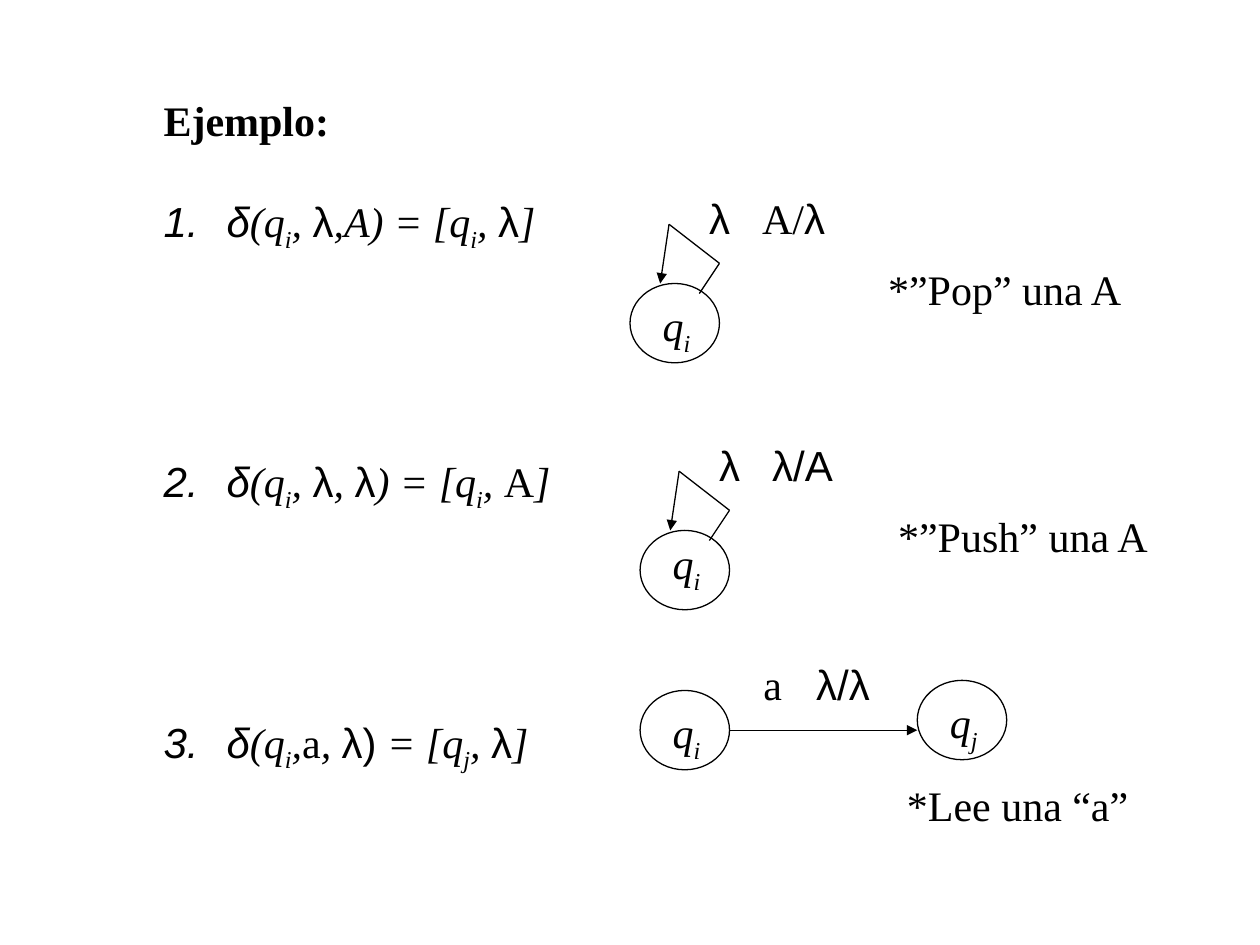
import pptx
import pptx.dml.color
import pptx.enum.shapes
import pptx.enum.text
import pptx.oxml.ns
import pptx.util
from lxml import etree

WIDTH, HEIGHT = pptx.util.Inches(10), pptx.util.Inches(7.5)
COL, ROW = WIDTH / 100, HEIGHT / 75
INK = "000000"
STATE_W, STATE_H = 7.1, 6.3
STYLES = {
    "plain": ("Times New Roman", False, False, False),
    "bold": ("Times New Roman", True, False, False),
    "italic": ("Times New Roman", False, True, False),
    "sub": ("Times New Roman", False, True, True),
    "greek": ("Arial", False, False, False),
    "slanted": ("Arial", False, True, False),
}


def color(value):
    return pptx.dml.color.RGBColor.from_string(value)


def cols(n):
    return round(n * COL)


def rows(n):
    return round(n * ROW)


def child(parent, tag, **attrs):
    return etree.SubElement(parent, pptx.oxml.ns.qn(tag), attrs)


def add_runs(p, runs):
    for text, style in runs:
        name, bold, italic, sub = STYLES[style]
        r = p.add_run()
        r.text = text
        r.font.name = name
        r.font.size = pptx.util.Pt(24)
        r.font.bold = bold
        r.font.italic = italic
        r.font.color.rgb = color(INK)
        if sub:
            r.font._element.set("baseline", "-25000")


def add_text(s, box, runs, wrap=False, tab=None):
    x, y, w, h = box
    sp = s.shapes.add_textbox(cols(x), rows(y), cols(w), rows(h))
    tf = sp.text_frame
    tf.word_wrap = wrap
    tf.auto_size = pptx.enum.text.MSO_AUTO_SIZE.SHAPE_TO_FIT_TEXT
    p = tf.paragraphs[0]
    if tab:
        tabs = child(p._p.get_or_add_pPr(), "a:tabLst")
        child(tabs, "a:tab", pos=str(cols(tab)), algn="l")
    add_runs(p, runs)
    return tf


def add_line(s, start, end, arrow=False):
    sp = s.shapes.add_connector(
        pptx.enum.shapes.MSO_CONNECTOR.STRAIGHT,
        cols(start[0]), rows(start[1]), cols(end[0]), rows(end[1]))
    sp.line.color.rgb = color(INK)
    sp.line.width = pptx.util.Pt(0.75)
    if arrow:
        child(sp.line._get_or_add_ln(), "a:tailEnd", type="triangle")
    child(sp._element.spPr, "a:effectLst")


def add_state(s, x, y, index, drop=0.8):
    sp = s.shapes.add_shape(pptx.enum.shapes.MSO_SHAPE.OVAL,
                            cols(x), rows(y), cols(STATE_W), rows(STATE_H))
    sp.shadow.inherit = False
    sp.fill.background()
    sp.line.color.rgb = color(INK)
    sp.line.width = pptx.util.Pt(0.75)
    add_text(s, (x + 1.6, y + drop, 4.2, 5.6), [("q", "italic"), (index, "sub")])


def add_rules(s, box, title, rules):
    tf = add_text(s, box, [(title, "bold")], wrap=True)
    for i, runs in enumerate(rules):
        p = tf.add_paragraph()
        child(p._p.get_or_add_pPr(), "a:buAutoNum", type="arabicPeriod")
        p.space_before = pptx.util.Pt(116 if i else 29)
        add_runs(p, runs)
    for p in tf.paragraphs:
        pPr = p._p.get_or_add_pPr()
        pPr.set("marL", str(cols(5)))
        pPr.set("indent", str(-cols(5)))


def add_loop(s, box, label, note, note_w, drop):
    x, y = box
    add_state(s, x, y, "i", drop)
    points = [(x + dx, y + dy) for dx, dy in
              ((5.5, 0.8), (STATE_W, -1.6), (3.1, -4.7), (2.4, 0))]
    for i, (start, end) in enumerate(zip(points, points[1:])):
        add_line(s, start, end, arrow=i == 2)
    add_text(s, (x + 5.3, y - 7.7, 11.5, 5), label, tab=4.2)
    add_text(s, (x + 19.5, y - 2.1, note_w, 5), [(note, "plain")], wrap=True)


def add_step(s, box, label, note):
    x, y = box
    add_state(s, x, y, "i")
    add_state(s, x + 22, y - 0.8, "j")
    mid = y + STATE_H / 2
    add_line(s, (x + STATE_W, mid), (x + 22, mid), arrow=True)
    add_text(s, (x + 8.8, y - 3, 13, 5), label, wrap=True, tab=4.2)
    add_text(s, (x + 20.2, y + 6.6, 19.6, 5), [(note, "plain")], wrap=True)


def main():
    prs = pptx.Presentation()
    prs.slide_width, prs.slide_height = WIDTH, HEIGHT
    s = prs.slides.add_slide(prs.slide_layouts[6])
    head = [("δ", "slanted"), ("(q", "italic"), ("i", "sub")]
    add_rules(s, (12, 7, 38, 62.7), "Ejemplo:", [
        head + [(", ", "italic"), ("λ", "greek"), (",A) = [q", "italic"),
                ("i", "sub"), (", ", "italic"), ("λ", "greek"), ("]", "italic")],
        head + [(", ", "italic"), ("λ", "greek"), (", ", "italic"),
                ("λ", "greek"), (") = [q", "italic"), ("i", "sub"),
                (", ", "italic"), ("A", "plain"), ("]", "italic")],
        head + [(",", "italic"), ("a", "plain"), (", ", "italic"),
                ("λ)", "greek"), (" = [q", "italic"), ("j", "sub"),
                (", ", "italic"), ("λ", "greek"), ("]", "italic")],
    ])
    add_loop(s, (50, 22.5), [("λ", "greek"), ("\tA/", "plain"), ("λ", "greek")],
             "*”Pop” una A", 20.7, 0.8)
    add_loop(s, (50.8, 42.1), [("λ\tλ/Α", "greek")], "*”Push” una A", 22, 0.1)
    add_step(s, (50.8, 54.8), [("a", "plain"), ("\tλ/λ", "greek")], "*Lee una “a”")
    prs.save("out.pptx")


if __name__ == "__main__":
    main()
